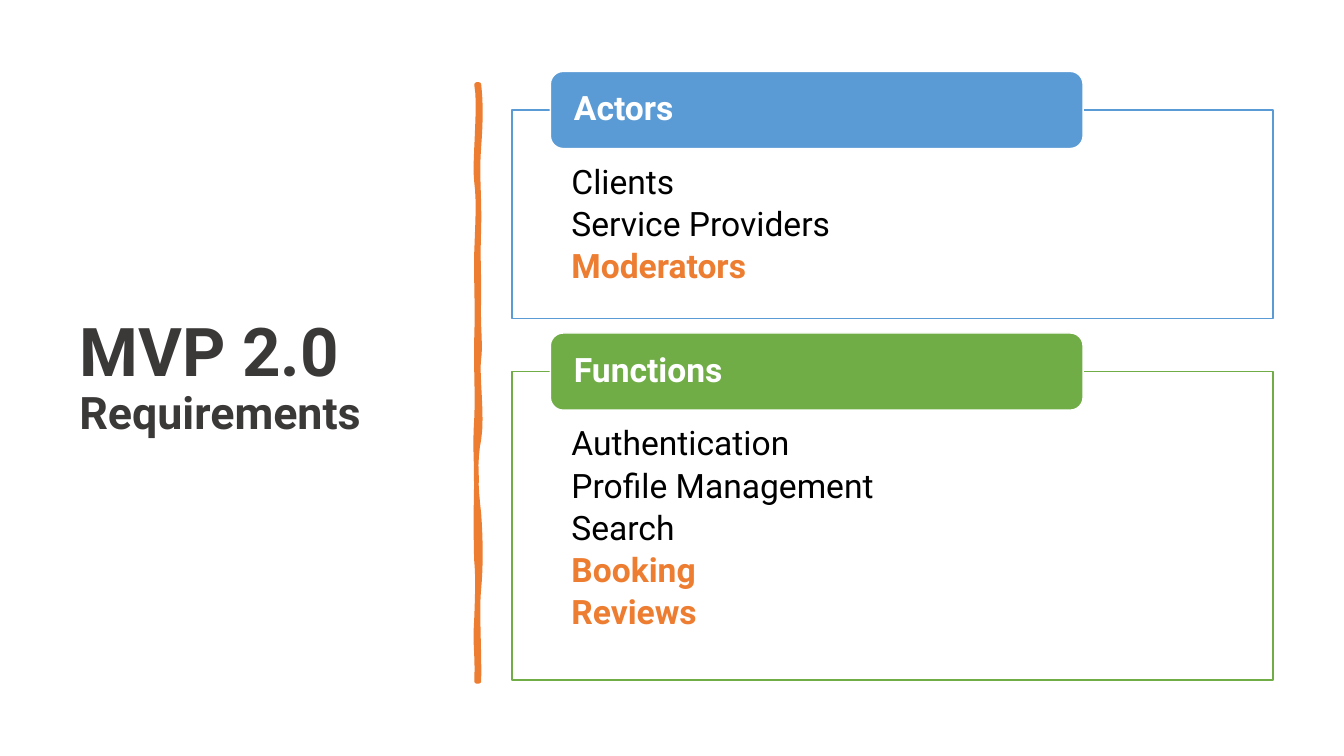
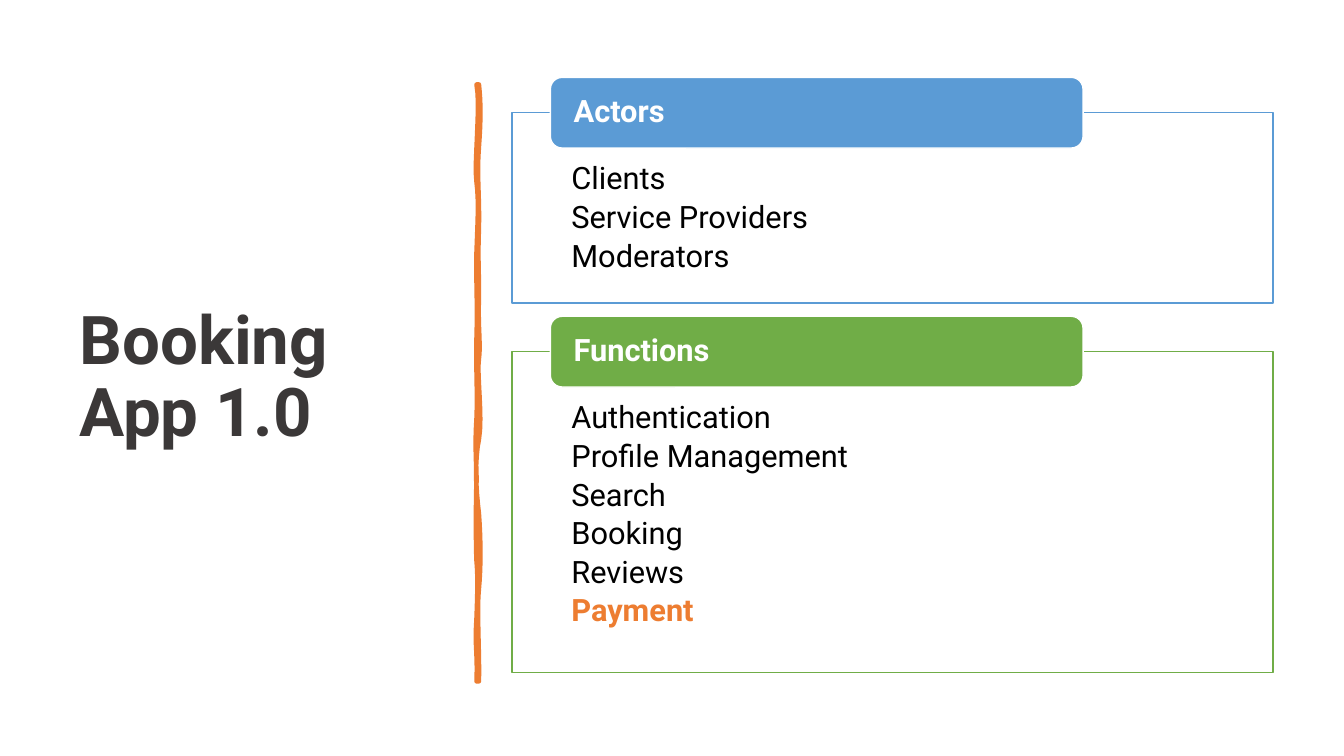
from lxml.etree import SubElement
from pptx import Presentation
from pptx.dml.color import RGBColor
from pptx.enum.shapes import MSO_SHAPE
from pptx.enum.text import MSO_ANCHOR, MSO_AUTO_SIZE, PP_ALIGN
from pptx.oxml.ns import qn
from pptx.util import Cm, Pt

FONT = "Roboto"
COLORS = {
    "title": "3B3838",
    "text": "000000",
    "accent": "ED7D31",
    "actors": "5B9BD5",
    "functions": "70AD47",
    "white": "FFFFFF",
}
TWO_CONTENT_LAYOUT = 3
TITLE_BOX = (1.75, 1.78, 9.5, 15.52)
DIVIDER_AT = (12.04, 2.13)
PANEL_LEFT, PANEL_WIDTH = 12.9, 19.18

# Bezier edges of the divider: (x, y) of two controls and an end, in cm
RIGHT_EDGE = [
    ((0.08, 0.46), (0.08, 0.89), (0.03, 1.57)),
    ((-0.03, 2.26), (0.05, 2.82), (0.03, 3.61)),
    ((0, 4.39), (0.03, 4.52), (0.03, 5.33)),
    ((0, 6.12), (0.08, 6.55), (0.03, 6.91)),
    ((-0.03, 7.26), (0.13, 8.38), (0.03, 8.94)),
    ((-0.08, 9.47), (-0.05, 10.16), (0.03, 10.82)),
    ((0.08, 11.48), (0.08, 12.19), (0.03, 12.7)),
    ((-0.03, 13.18), (0.05, 14.38), (0.03, 15.04)),
]
LEFT_EDGE = [
    ((0, 14.27), (-0.08, 14.22), (-0.03, 13.44)),
    ((0, 12.67), (0, 12.34), (-0.03, 12.01)),
    ((-0.05, 11.68), (-0.05, 10.44), (-0.03, 9.98)),
    ((-0.03, 9.53), (-0.08, 9.17), (-0.03, 8.41)),
    ((0, 7.67), (-0.05, 7.34), (-0.03, 6.38)),
    ((0, 5.44), (-0.05, 5), (-0.03, 4.22)),
    ((0, 3.4), (0.03, 2.95), (-0.03, 2.46)),
    ((-0.1, 2.01), (0.08, 0.51), (-0.03, 0)),
]

SLIDES = [
    {
        "title": [("MVP 2.0", 48), ("Requirements", 32)],
        "size": 24,
        "top": 1.8,
        "panels": [
            ("Actors", 5.26, ["Clients", "Service Providers", "Moderators"]),
            ("Functions", 7.77, ["Authentication", "Profile Management",
                                 "Search", "Booking", "Reviews"]),
        ],
        "new": {"Moderators", "Booking", "Reviews"},
    },
    {
        "title": [("Booking App 1.0", 48)],
        "size": 22,
        "top": 1.95,
        "panels": [
            ("Actors", 4.8, ["Clients", "Service Providers", "Moderators"]),
            ("Functions", 8.08, ["Authentication", "Profile Management",
                                 "Search", "Booking", "Reviews", "Payment"]),
        ],
        "new": {"Payment"},
    },
]


def rgb(name):
    return RGBColor.from_string(COLORS[name])


def write(para, text, size, color="text", bold=False):
    span = para.add_run()
    span.text = text
    span.font.name = FONT
    span.font.size = Pt(size)
    span.font.bold = bold
    span.font.color.rgb = rgb(color)


def paint(shape, fill, line, width):
    shape.fill.solid()
    shape.fill.fore_color.rgb = rgb(fill)
    shape.line.color.rgb = rgb(line)
    shape.line.width = Pt(width)


def place(shape, left, top, width, height):
    shape.left, shape.top = Cm(left), Cm(top)
    shape.width, shape.height = Cm(width), Cm(height)


def set_frame(frame, anchor, left, top, right, bottom):
    frame.word_wrap = True
    frame.auto_size = MSO_AUTO_SIZE.NONE
    frame.vertical_anchor = anchor
    frame.margin_left, frame.margin_top = Cm(left), Cm(top)
    frame.margin_right, frame.margin_bottom = Cm(right), Cm(bottom)


def set_para(para, space_after=0):
    para.alignment = PP_ALIGN.LEFT
    para.line_spacing = 0.9
    para.space_before = Pt(0)
    para.space_after = Pt(space_after)


def add_title(page, lines):
    title = page.shapes.title
    place(title, *TITLE_BOX)
    set_frame(title.text_frame, MSO_ANCHOR.MIDDLE, 0.25, 0.13, 0.25, 0.13)
    para = title.text_frame.paragraphs[0]
    set_para(para)
    for index, (text, size) in enumerate(lines):
        if index:
            para.add_line_break()
        write(para, text, size, color="title", bold=True)


def curve_points(start, curves, steps=8):
    """Sample a chain of cubic Bezier curves."""
    for first, second, end in curves:
        for step in range(1, steps + 1):
            t = step / steps
            weights = ((1 - t) ** 3, 3 * t * (1 - t) ** 2,
                       3 * t ** 2 * (1 - t), t ** 3)
            corners = (start, first, second, end)
            yield tuple(sum(weight * corner[axis]
                            for weight, corner in zip(weights, corners))
                        for axis in (0, 1))
        start = end


def add_divider(page, left, top):
    """Draw the hand-drawn vertical line centred on left."""
    start, turn = (0.03, 0), (-0.03, 15.04)
    outline = [start, *curve_points(start, RIGHT_EDGE),
               turn, *curve_points(turn, LEFT_EDGE)]
    points = [(Cm(left + x), Cm(top + y)) for x, y in outline]
    builder = page.shapes.build_freeform(*points[0])
    builder.add_line_segments(points[1:], close=True)
    divider = builder.convert_to_shape()
    divider.shadow.inherit = False
    paint(divider, "accent", "accent", 3.25)


def fill_list(body, box, items, new_items, size, color):
    place(body, *box)
    paint(body, "white", color, 1)
    frame = body.text_frame
    set_frame(frame, MSO_ANCHOR.TOP, 1.5, size * 0.058, 1.5, 0.45)
    for index, item in enumerate(items):
        para = frame.add_paragraph() if index else frame.paragraphs[0]
        set_para(para, space_after=size * 0.175)
        properties = para._p.get_or_add_pPr()
        properties.set("marL", "0")
        properties.set("indent", "0")
        SubElement(properties, qn("a:buNone"))
        is_new = item in new_items
        write(para, item, size, color="accent" if is_new else "text", bold=is_new)


def add_label(page, box, text, size, color):
    label = page.shapes.add_shape(MSO_SHAPE.ROUNDED_RECTANGLE,
                                  *(Cm(length) for length in box))
    label.shadow.inherit = False
    paint(label, color, "white", 1)
    set_frame(label.text_frame, MSO_ANCHOR.MIDDLE, 0.5, 0, 0.5, 0)
    para = label.text_frame.paragraphs[0]
    set_para(para)
    write(para, text, size, color="white", bold=True)


def add_panels(page, content):
    """Stack the panels; each label straddles the top edge of its list."""
    size, top = content["size"], content["top"]
    label_height, gap = size * 0.081, size * 0.015
    bodies = list(page.placeholders)[1:]
    for body, (name, height, items) in zip(bodies, content["panels"]):
        color = name.lower()
        panel_top = top + label_height / 2
        fill_list(body, (PANEL_LEFT, panel_top, PANEL_WIDTH, height),
                  items, content["new"], size, color)
        add_label(page, (PANEL_LEFT + 0.97, top, PANEL_WIDTH * 0.7, label_height),
                  name, size, color)
        top = panel_top + height + gap


def add_requirements_slide(deck, content):
    page = deck.slides.add_slide(deck.slide_layouts[TWO_CONTENT_LAYOUT])
    add_title(page, content["title"])
    add_divider(page, *DIVIDER_AT)
    add_panels(page, content)


def main():
    deck = Presentation()
    deck.slide_width, deck.slide_height = Cm(33.87), Cm(19.05)
    for content in SLIDES:
        add_requirements_slide(deck, content)
    deck.save("out.pptx")


if __name__ == "__main__":
    main()
